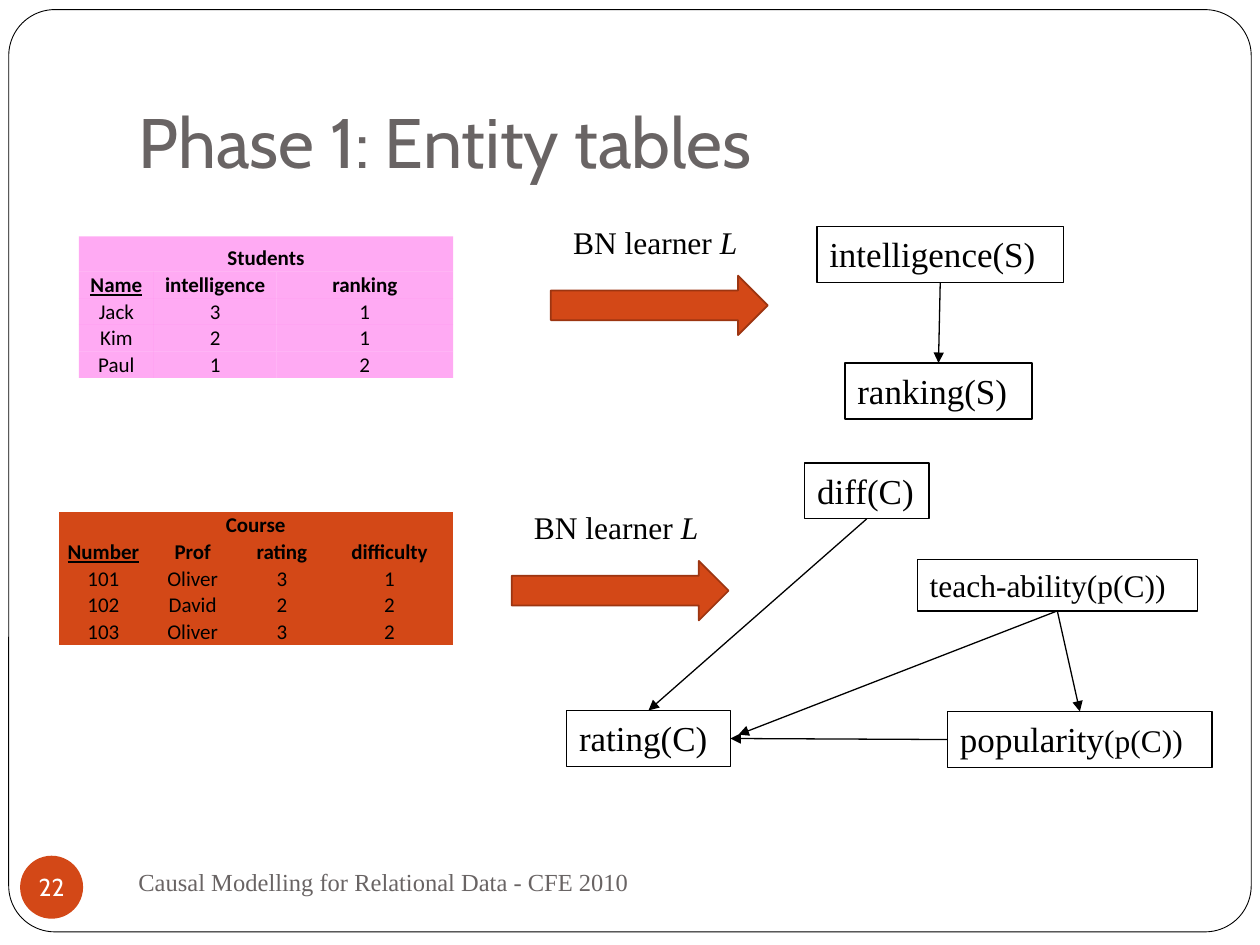
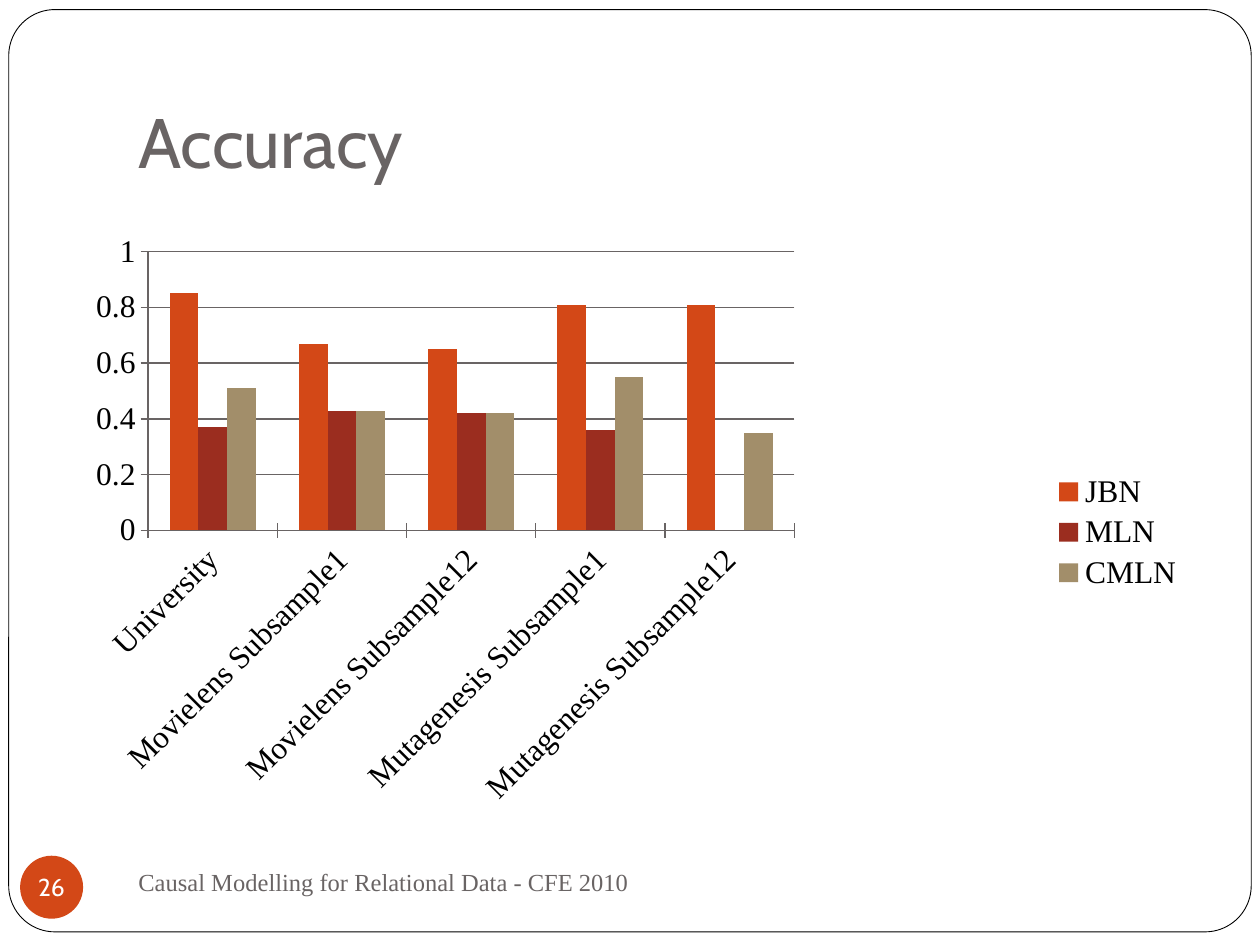
from dataclasses import dataclass

from lxml import etree
from pptx import Presentation
from pptx import util as u
from pptx.chart import data
from pptx.dml.color import RGBColor
from pptx.enum import chart as charts, shapes, text
from pptx.oxml import ns


@dataclass(frozen=True)
class Theme:
    black: RGBColor = RGBColor.from_string("000000")
    white: RGBColor = RGBColor.from_string("FFFFFF")
    grey: RGBColor = RGBColor.from_string("696464")
    orange: RGBColor = RGBColor.from_string("D34817")
    dark_orange: RGBColor = RGBColor.from_string("9C3511")
    red: RGBColor = RGBColor.from_string("9B2D1F")
    sand: RGBColor = RGBColor.from_string("A28E6A")
    pink: RGBColor = RGBColor.from_string("FF57E9")
    heading_font: str = "Cabin"
    text_font: str = "Times New Roman"
    table_font: str = "Calibri"
    title_size: int = 40
    node_size: int = 20
    label_size: int = 18
    footer_size: int = 14
    table_size: int = 12


theme = Theme()
NO_TABLE_STYLE = "{2D5ABB26-0587-4C30-8999-92F81FD0307C}"


def style_runs(paragraph, font, size, colour):
    for run in paragraph.runs:
        run.font.name = font
        run.font.size = u.Pt(size)
        run.font.color.rgb = colour


def add_plain_shape(slide, kind, box, fill=None, line=None, width=0.75):
    shape = slide.shapes.add_shape(kind, *map(u.Pt, box))
    shape.shadow.inherit = False
    for part, colour in ((shape.fill, fill), (shape.line.fill, line)):
        if colour is None:
            part.background()
        else:
            part.solid()
            part.fore_color.rgb = colour
    if line is not None:
        shape.line.width = u.Pt(width)
    return shape


presentation = Presentation()
presentation.slide_width, presentation.slide_height = u.Pt(720), u.Pt(540)

# Shared frame, title, footer and slide number
slides = []
for title_text, number in (("Phase 1: Entity tables", "22"), ("Accuracy", "26")):
    slide = presentation.slides.add_slide(presentation.slide_layouts[5])
    slides.append(slide)

    title = slide.shapes.title
    title.left, title.top, title.width, title.height = map(u.Pt, (72, 21.6, 612, 90))
    frame = title.text_frame
    frame.text = title_text
    frame.auto_size = text.MSO_AUTO_SIZE.NONE
    frame.vertical_anchor = text.MSO_ANCHOR.BOTTOM
    frame.margin_bottom = u.Pt(7.2)
    frame.paragraphs[0].alignment = text.PP_ALIGN.LEFT
    style_runs(frame.paragraphs[0], theme.heading_font, theme.title_size, theme.grey)

    border = add_plain_shape(slide, shapes.MSO_SHAPE.ROUNDED_RECTANGLE,
                             (5, 5.5, 710, 527), theme.white, theme.black, 0.5)
    border.adjustments[0] = 0.05
    title.element.addprevious(border.element)

    footer = slide.shapes.add_textbox(*map(u.Pt, (72, 486, 312, 36)))
    frame = footer.text_frame
    frame.text = "Causal Modelling for Relational Data - CFE 2010"
    frame.word_wrap = True
    frame.vertical_anchor = text.MSO_ANCHOR.MIDDLE
    style_runs(frame.paragraphs[0], theme.text_font, theme.footer_size, theme.grey)

    badge = add_plain_shape(slide, shapes.MSO_SHAPE.OVAL, (11.5, 489, 36, 36), theme.orange)
    frame = badge.text_frame
    frame.text = number
    frame.word_wrap = False
    frame.margin_left = frame.margin_right = frame.margin_top = frame.margin_bottom = 0
    frame.vertical_anchor = text.MSO_ANCHOR.MIDDLE
    frame.paragraphs[0].alignment = text.PP_ALIGN.CENTER
    style_runs(frame.paragraphs[0], theme.heading_font, theme.footer_size, theme.white)

entity_slide, accuracy_slide = slides

# Entity tables: position, column widths, heading height, fill, opacity, rows
entity_tables = (
    ((45, 135), (43, 70, 101), 20.2, theme.pink, 50, (
        ("Students",),
        ("Name", "intelligence", "ranking"),
        ("Jack", "3", "1"),
        ("Kim", "2", "1"),
        ("Paul", "1", "2"))),
    ((33.6, 292.6), (51, 51, 51, 72), 15.2, theme.orange, 100, (
        ("Course",),
        ("Number", "Prof", "rating", "difficulty"),
        ("101", "Oliver", "3", "1"),
        ("102", "David", "2", "2"),
        ("103", "Oliver", "3", "2"))),
)
ROW_HEIGHT = 15.2
for (left, top), widths, heading_height, fill, opacity, rows in entity_tables:
    heights = [heading_height] + [ROW_HEIGHT] * (len(rows) - 1)
    holder = entity_slide.shapes.add_table(
        len(rows), len(widths), *map(u.Pt, (left, top, sum(widths), sum(heights))))
    table = holder.table
    table.first_row = table.horz_banding = False
    next(holder.element.iter(ns.qn("a:tableStyleId"))).text = NO_TABLE_STYLE
    for column, width in zip(table.columns, widths):
        column.width = u.Pt(width)
    for row, height in zip(table.rows, heights):
        row.height = u.Pt(height)
    table.cell(0, 0).merge(table.cell(0, len(widths) - 1))

    for row_index, values in enumerate(rows):
        for column_index in range(len(widths)):
            cell = table.cell(row_index, column_index)
            cell.margin_left = cell.margin_right = u.Pt(0.7)
            cell.margin_top = cell.margin_bottom = 0
            cell.vertical_anchor = text.MSO_ANCHOR.BOTTOM
            cell.fill.solid()
            cell.fill.fore_color.rgb = fill
            if opacity < 100:
                colour = next(cell.fill._xPr.iter(ns.qn("a:srgbClr")))
                etree.SubElement(colour, ns.qn("a:alpha"), val=str(opacity * 1000))
            if column_index >= len(values):
                continue
            paragraph = cell.text_frame.paragraphs[0]
            paragraph.text = values[column_index]
            paragraph.alignment = text.PP_ALIGN.CENTER
            style_runs(paragraph, theme.table_font, theme.table_size, theme.black)
            paragraph.runs[0].font.bold = row_index < 2
            paragraph.runs[0].font.underline = (row_index, column_index) == (1, 0)

# Learner arrows with their labels
for left, top in ((314.8, 157.5), (292.4, 320.5)):
    add_plain_shape(entity_slide, shapes.MSO_SHAPE.RIGHT_ARROW, (left, top, 124, 34),
                    theme.orange, theme.dark_orange, 1)
    label = entity_slide.shapes.add_textbox(
        *map(u.Pt, (left + 5.6, top - 33.8, 174, 29)))
    label.text_frame.word_wrap = True
    paragraph = label.text_frame.paragraphs[0]
    paragraph.text = "BN learner "
    learner = paragraph.add_run()
    learner.text = "L"
    learner.font.italic = True
    style_runs(paragraph, theme.text_font, theme.label_size, theme.black)

# Network nodes: box, main words, smaller words
network = {
    "intelligence": ((466.8, 129.4, 141, 32), "intelligence(S)", ""),
    "ranking": ((482.8, 207.4, 107, 32), "ranking(S)", ""),
    "diff": ((459.8, 264.5, 71, 32), "diff(C)", ""),
    "teach": ((524.2, 319.6, 160, 29.5), "", "teach-ability(p(C))"),
    "rating": ((323.8, 406, 93.6, 32), "rating(C)", ""),
    "popularity": ((541.5, 406.6, 151.2, 32), "popularity", "(p(C))"),
}
nodes = {}
for name, (box, main_words, small_words) in network.items():
    node = add_plain_shape(entity_slide, shapes.MSO_SHAPE.RECTANGLE, box, line=theme.black)
    frame = node.text_frame
    frame.word_wrap = True
    frame.margin_right = 0
    frame.vertical_anchor = text.MSO_ANCHOR.TOP
    paragraph = frame.paragraphs[0]
    paragraph.alignment = text.PP_ALIGN.LEFT
    for words, size in ((main_words, theme.node_size), (small_words, theme.label_size)):
        if words:
            run = paragraph.add_run()
            run.text = words
            run.font.size = u.Pt(size)
            run.font.name = theme.text_font
            run.font.color.rgb = theme.black
    nodes[name] = node

# Network links; the one without an end site stops just short of its node
TOP, LEFT, BOTTOM, RIGHT = range(4)
SHORT_END = (422, 419.8)
links = (
    ("intelligence", BOTTOM, "ranking", TOP),
    ("diff", BOTTOM, "rating", TOP),
    ("teach", BOTTOM, "popularity", TOP),
    ("teach", BOTTOM, "rating", None),
    ("popularity", LEFT, "rating", RIGHT),
)
for start, start_site, end, end_site in links:
    link = entity_slide.shapes.add_connector(
        shapes.MSO_CONNECTOR.STRAIGHT, 0, 0, *map(u.Pt, SHORT_END))
    link.begin_connect(nodes[start], start_site)
    if end_site is not None:
        link.end_connect(nodes[end], end_site)
    link.line.color.rgb = theme.black
    link.line.width = u.Pt(0.75)
    etree.SubElement(link.line._get_or_add_ln(), ns.qn("a:tailEnd"), type="triangle")
    etree.SubElement(link.element.spPr, ns.qn("a:effectLst"))

# Accuracy chart
chart_data = data.CategoryChartData()
chart_data.categories = ("University", "Movielens Subsample1", "Movielens Subsample12",
                         "Mutagenesis Subsample1", "Mutagenesis Subsample12")
chart_data.add_series("JBN", (0.85, 0.67, 0.65, 0.81, 0.81))
chart_data.add_series("MLN", (0.37, 0.43, 0.42, 0.36, None))
chart_data.add_series("CMLN", (0.51, 0.43, 0.42, 0.55, 0.35))
chart = accuracy_slide.shapes.add_chart(
    charts.XL_CHART_TYPE.COLUMN_CLUSTERED, *map(u.Pt, (36, 126, 648, 356.4)),
    chart_data).chart
chart.has_title = False
chart.font.name = theme.text_font
chart.font.size = u.Pt(theme.label_size)
chart.font.color.rgb = theme.black
chart.has_legend = True
chart.legend.position = charts.XL_LEGEND_POSITION.RIGHT
chart.legend.include_in_layout = False

plot = chart.plots[0]
plot.gap_width = 150
plot.overlap = 0
plot.vary_by_categories = False
for series, colour in zip(plot.series, (theme.orange, theme.red, theme.sand)):
    series.format.fill.solid()
    series.format.fill.fore_color.rgb = colour

value_axis, category_axis = chart.value_axis, chart.category_axis
value_axis.minimum_scale, value_axis.maximum_scale = 0, 1
value_axis.major_unit = 0.2
value_axis.has_major_gridlines = True
value_axis.major_gridlines.format.line.color.rgb = theme.grey
for axis in (value_axis, category_axis):
    axis.major_tick_mark = charts.XL_TICK_MARK.CROSS
    axis.format.line.color.rgb = theme.grey

# Slanted category labels
category_axis.tick_labels.font.size = u.Pt(theme.label_size)
label_body = next(category_axis._element.iter(ns.qn("a:bodyPr")))
label_body.set("rot", str(-45 * 60000))
label_body.set("vert", "horz")

# Fixed inner plot area
plot_area = next(chart._chartSpace.iter(ns.qn("c:plotArea")))
for old_layout in plot_area.findall(ns.qn("c:layout")):
    plot_area.remove(old_layout)
layout = etree.Element(ns.qn("c:layout"))
plot_area.insert(0, layout)
manual = etree.SubElement(layout, ns.qn("c:manualLayout"))
for tag, value in (("layoutTarget", "inner"), ("xMode", "edge"), ("yMode", "edge"),
                   ("x", 0.075), ("y", 0.05), ("w", 0.57), ("h", 0.447)):
    etree.SubElement(manual, ns.qn("c:" + tag), val=str(value))

presentation.save("out.pptx")
